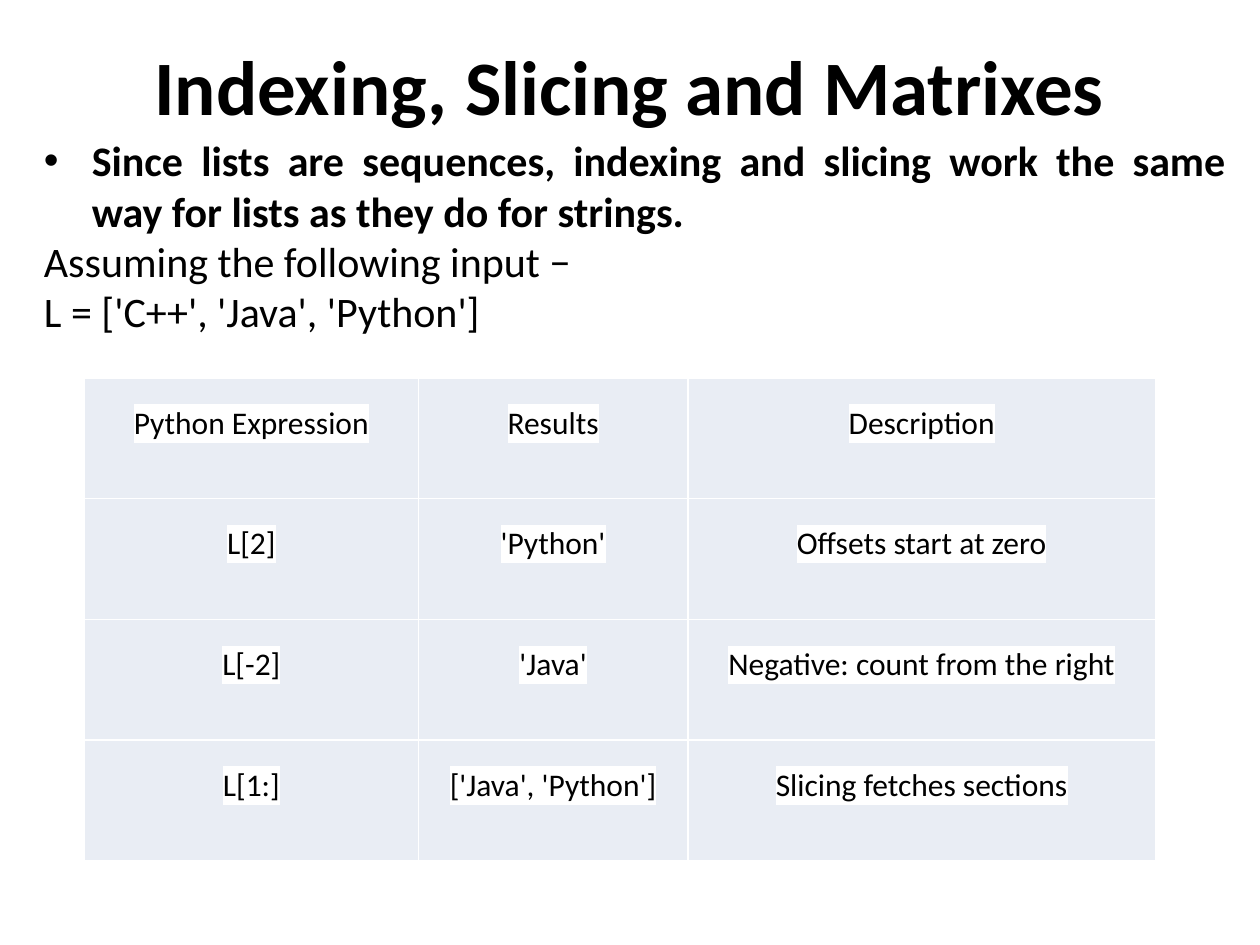
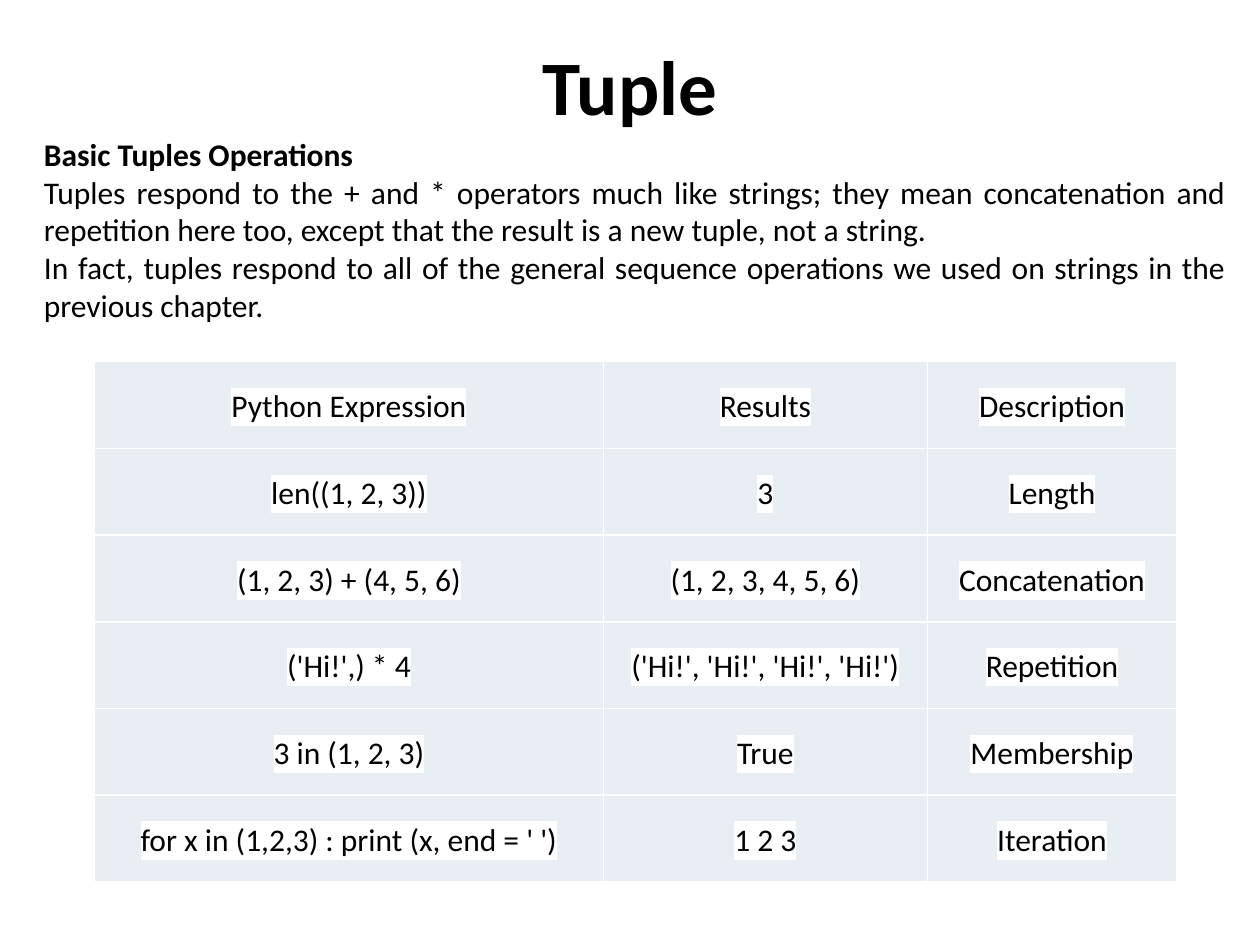
from lxml.etree import SubElement
from pptx import Presentation
from pptx.dml.color import RGBColor
from pptx.enum.text import MSO_ANCHOR, PP_ALIGN
from pptx.oxml.ns import qn
from pptx.util import Inches, Pt

COLORS = {"text": "000000", "paper": "FFFFFF", "cell": "E9EDF4"}
FONT = "Calibri"
HEADINGS = ("Python Expression", "Results", "Description")

LIST_ROWS = [
    HEADINGS,
    ("L[2]", "'Python'", "Offsets start at zero"),
    ("L[-2]", "'Java'", "Negative: count from the right"),
    ("L[1:]", "['Java', 'Python']", "Slicing fetches sections"),
]
TUPLE_ROWS = [
    HEADINGS,
    ("len((1, 2, 3))", "3", "Length"),
    ("(1, 2, 3) + (4, 5, 6)", "(1, 2, 3, 4, 5, 6)", "Concatenation"),
    ("('Hi!',) * 4", "('Hi!', 'Hi!', 'Hi!', 'Hi!')", "Repetition"),
    ("3 in (1, 2, 3)", "True", "Membership"),
    ("for x in (1,2,3) : print (x, end = ' ')", "1 2 3", "Iteration"),
]


def add_color(parent, tag, color):
    """Append an element of the given tag that holds one RGB colour."""
    holder = SubElement(parent, qn(tag))
    SubElement(holder, qn("a:srgbClr")).set("val", COLORS[color])
    return holder


def add_bullet(para):
    """Give a paragraph a round bullet with a hanging indent."""
    properties = para._p.get_or_add_pPr()
    properties.set("marL", str(Inches(0.38)))
    properties.set("indent", str(Inches(-0.38)))
    SubElement(properties, qn("a:buFont")).set("typeface", "Arial")
    SubElement(properties, qn("a:buChar")).set("char", "•")


def write(para, text, size=18, bold=False, align=PP_ALIGN.JUSTIFY,
          bullet=False, highlight=None):
    """Write formatted text into a paragraph."""
    if bullet:
        add_bullet(para)
    para.alignment = align
    span = para.add_run()
    span.text = text
    font = span.font
    font.size, font.bold = Pt(size), bold
    font.color.rgb = RGBColor.from_string(COLORS["text"])
    font.name = FONT
    if highlight:
        properties = span._r.get_or_add_rPr()
        marker = add_color(properties, "a:highlight", highlight)
        properties.find(qn("a:latin")).addprevious(marker)


def add_box(page, left, top, width, height, anchor=MSO_ANCHOR.TOP):
    """Add a wrapping text box and return its text frame."""
    box = page.shapes.add_textbox(Inches(left), Inches(top), Inches(width), Inches(height))
    frame = box.text_frame
    frame.word_wrap = True
    frame.vertical_anchor = anchor
    return frame


def add_page(deck, title):
    """Add a blank page with the shared title style."""
    page = deck.slides.add_slide(deck.slide_layouts[6])
    frame = add_box(page, 0, 0.17, 10, 1, MSO_ANCHOR.MIDDLE)
    write(frame.paragraphs[0], title, size=44, bold=True, align=PP_ALIGN.CENTER)
    return page


def add_body(page, height, size, lead, *lines, bullet=False):
    """Add a bold lead paragraph followed by plain ones."""
    frame = add_box(page, 0.25, 1.02, 9.58, height)
    write(frame.paragraphs[0], lead, size=size, bold=True, bullet=bullet)
    for line in lines:
        write(frame.add_paragraph(), line, size=size)


def style_cell(cell):
    """Give a cell its margins, thin borders and fill."""
    cell.margin_left = cell.margin_right = Inches(0.08)
    cell.margin_top = cell.margin_bottom = Inches(0.08)
    properties = cell._tc.get_or_add_tcPr()
    for side in ("L", "R", "T", "B"):
        border = add_color(properties, f"a:ln{side}", "paper")
        border.set("w", str(Pt(1)))
        fill = SubElement(border, qn("a:solidFill"))
        fill.append(border[0])
    cell.fill.solid()
    cell.fill.fore_color.rgb = RGBColor.from_string(COLORS["cell"])


def add_grid(page, left, top, height, widths, rows):
    """Add a table with equal rows and centred, highlighted text."""
    table = page.shapes.add_table(
        len(rows), len(widths), Inches(left), Inches(top),
        Inches(sum(widths)), Inches(height)).table
    table.first_row = table.horz_banding = False
    for column, width in zip(table.columns, widths):
        column.width = Inches(width)
    for row, texts in zip(table.rows, rows):
        row.height = Inches(height / len(rows))
        for cell, text in zip(row.cells, texts):
            style_cell(cell)
            para = cell.text_frame.paragraphs[0]
            para.line_spacing = 1.42
            para.space_after = Pt(15)
            write(para, text, align=PP_ALIGN.CENTER, highlight="paper")


def main():
    """Build both pages and save the deck."""
    deck = Presentation()
    deck.slide_width, deck.slide_height = Inches(10), Inches(7.5)

    page = add_page(deck, "Indexing, Slicing and Matrixes")
    add_body(page, 1.72, 24,
             "Since lists are sequences, indexing and slicing work the same way "
             "for lists as they do for strings.",
             "Assuming the following input −",
             "L = ['C++', 'Java', 'Python']", bullet=True)
    add_grid(page, 0.67, 3, 3.83, (2.65, 2.14, 3.71), LIST_ROWS)

    page = add_page(deck, "Tuple")
    add_body(page, 1.62, 18,
             "Basic Tuples Operations",
             "Tuples respond to the + and * operators much like strings; they mean "
             "concatenation and repetition here too, except that the result is a "
             "new tuple, not a string.",
             "In fact, tuples respond to all of the general sequence operations we "
             "used on strings in the previous chapter.")
    add_grid(page, 0.75, 2.87, 4.13, (4.04, 2.57, 1.98), TUPLE_ROWS)

    deck.save("out.pptx")


if __name__ == "__main__":
    main()
